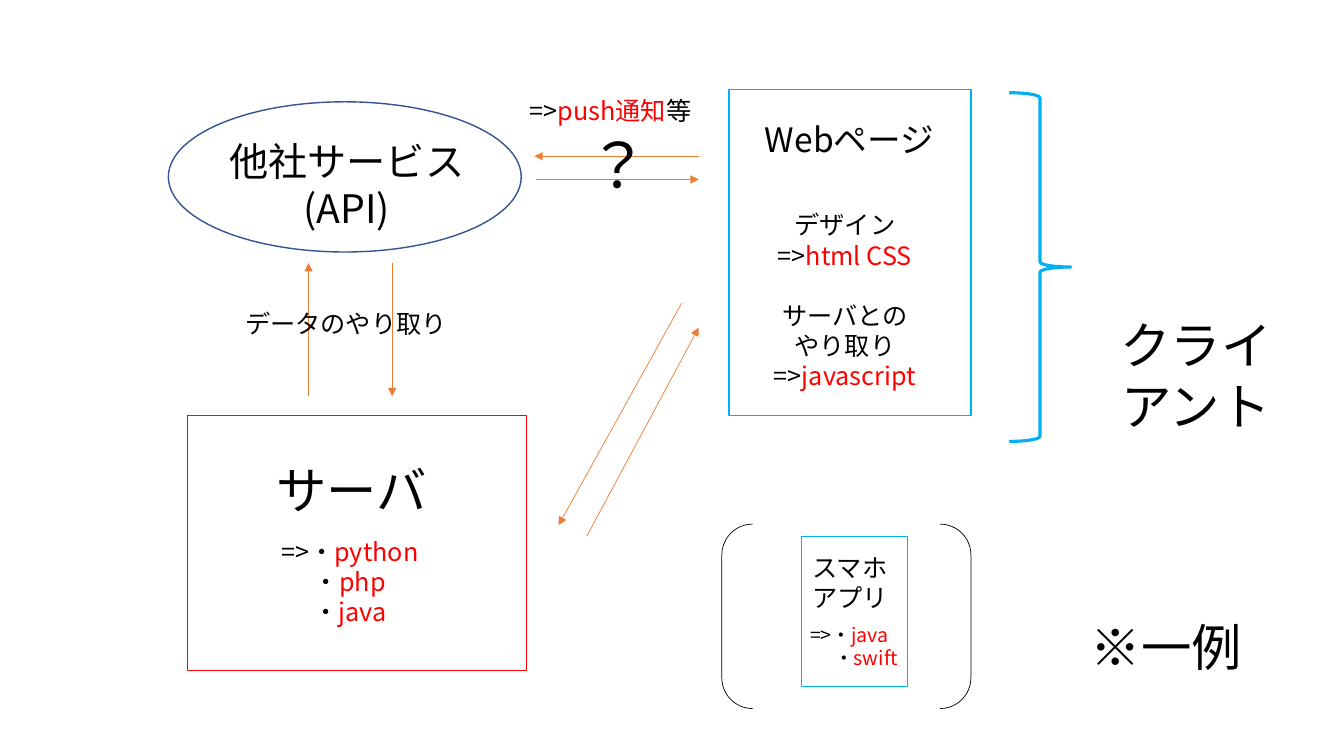
from dataclasses import dataclass

from lxml import etree
from pptx import Presentation
from pptx.dml.color import RGBColor
from pptx.enum.shapes import MSO_CONNECTOR, MSO_SHAPE
from pptx.enum.text import MSO_ANCHOR, PP_ALIGN
from pptx.oxml.ns import qn
from pptx.util import Inches, Pt

STRAIGHT = MSO_CONNECTOR.STRAIGHT
RECTANGLE = MSO_SHAPE.RECTANGLE
OVAL = MSO_SHAPE.OVAL
RIGHT_BRACE = MSO_SHAPE.RIGHT_BRACE
DOUBLE_BRACKET = MSO_SHAPE.DOUBLE_BRACKET
CENTER = PP_ALIGN.CENTER
TOP = MSO_ANCHOR.TOP


@dataclass(frozen=True)
class Theme:
    """Colours, type sizes and line widths of the slide."""

    font: str = "Noto Sans CJK JP"
    text: str = "000000"
    accent: str = "FF0000"
    service: str = "325491"
    server: str = "FF0000"
    client: str = "00B0F0"
    arrow: str = "ED7D31"
    mark: int = 44
    title: int = 36
    subtitle: int = 28
    heading: int = 24
    body: int = 18
    small: int = 14
    leading: float = 1.2
    thin: float = 0.5
    medium: float = 1
    thick: float = 2.25


def write_text(frame, text, theme, size, gap_before=None, indents=()):
    """Write centred lines, colouring the parts that follow an odd asterisk."""
    for index, line in enumerate(text.split("\n")):
        paragraph = frame.paragraphs[0] if index == 0 else frame.add_paragraph()
        paragraph.alignment = CENTER
        paragraph.line_spacing = Pt(size * theme.leading)
        if index == gap_before:
            paragraph.space_before = Pt(size * theme.leading)
        if index in indents:
            properties = paragraph._p.get_or_add_pPr()
            properties.set("marL", str(Inches(0.33)))
            properties.set("indent", "0")
        for position, part in enumerate(line.split("*")):
            if not part:
                continue
            run = paragraph.add_run()
            run.text = part
            run.font.name = theme.font
            run.font.size = Pt(size)
            color = theme.accent if position % 2 else theme.text
            run.font.color.rgb = RGBColor.from_string(color)
            east_asian = etree.SubElement(run._r.get_or_add_rPr(), qn("a:ea"))
            east_asian.set("typeface", theme.font)


class Diagram:
    """Draws styled elements on one slide."""

    def __init__(self, slide, theme):
        """Keep the slide and its style."""
        self.slide = slide
        self.theme = theme

    def outline(self, kind, left, top, width, height, color, weight):
        """Draw an unfilled preset shape."""
        shape = self.slide.shapes.add_shape(
            kind, Inches(left), Inches(top), Inches(width), Inches(height))
        shape.shadow.inherit = False
        shape.fill.background()
        shape.line.color.rgb = RGBColor.from_string(color)
        shape.line.width = Pt(weight)

    def label(self, text, left, top, width, height, size, **text_format):
        """Place a wrapped text box."""
        box = self.slide.shapes.add_textbox(
            Inches(left), Inches(top), Inches(width), Inches(height))
        frame = box.text_frame
        frame.word_wrap = True
        frame.vertical_anchor = TOP
        write_text(frame, text, self.theme, size, **text_format)

    def arrow(self, start_x, start_y, end_x, end_y):
        """Draw a thin arrow that points to its end."""
        connector = self.slide.shapes.add_connector(
            STRAIGHT, Inches(start_x), Inches(start_y), Inches(end_x), Inches(end_y))
        connector.line.color.rgb = RGBColor.from_string(self.theme.arrow)
        connector.line.width = Pt(self.theme.thin)
        head = etree.SubElement(connector.line._get_or_add_ln(), qn("a:tailEnd"))
        head.set("type", "triangle")
        etree.SubElement(connector._element.spPr, qn("a:effectLst"))


def main():
    """Build and save the slide."""
    presentation = Presentation()
    presentation.slide_width = Inches(13.33)
    presentation.slide_height = Inches(7.5)
    theme = Theme()
    slide = presentation.slides.add_slide(presentation.slide_layouts[6])
    diagram = Diagram(slide, theme)

    for outline in (
        (OVAL, 1.67, 1.01, 3.5, 1.49, theme.service, theme.medium),
        (RECTANGLE, 1.86, 4.12, 3.36, 2.53, theme.server, theme.medium),
        (RECTANGLE, 7.23, 0.89, 2.4, 3.23, theme.client, theme.medium),
        (RIGHT_BRACE, 10.01, 0.92, 0.61, 3.46, theme.client, theme.thick),
        (RECTANGLE, 7.95, 5.32, 1.05, 1.49, theme.client, theme.medium),
        (DOUBLE_BRACKET, 7.16, 5.2, 2.47, 1.83, theme.text, theme.thin),
    ):
        diagram.outline(*outline)

    for arrow in (
        (3.06, 3.93, 3.06, 2.61),
        (3.89, 2.61, 3.89, 3.93),
        (6.76, 3.01, 5.54, 5.21),
        (5.82, 5.32, 6.93, 3.25),
        (6.93, 1.55, 5.3, 1.55),
        (5.32, 1.78, 6.93, 1.78),
    ):
        diagram.arrow(*arrow)

    for label in (
        ("他社サービス\n(API)", 2.16, 1.31, 2.56, 1.04, theme.subtitle),
        ("データのやり取り", 2.32, 3.01, 2.22, 0.4, theme.body),
        ("サーバ", 2.63, 4.51, 1.72, 0.71, theme.title),
        ("=>・*python\n・*php\n・*java", 2.66, 5.27, 1.62, 1.01, theme.body),
        ("=>*push通知*等", 5.11, 0.9, 1.89, 0.4, theme.body),
        ("？", 5.72, 1.21, 0.82, 0.84, theme.mark),
        ("Webページ", 7.47, 1.13, 1.91, 0.5, theme.heading),
        ("スマホ\nアプリ", 7.95, 5.43, 0.96, 0.71, theme.body),
        ("クライ\nアント", 11, 3.07, 1.72, 1.31, theme.title),
        ("※一例", 10.71, 6.06, 1.72, 0.71, theme.title),
    ):
        diagram.label(*label)

    diagram.label(
        "デザイン\n=>*html CSS\nサーバとの\nやり取り\n=>*javascript",
        7.53, 2.03, 1.7, 1.92, theme.body, gap_before=2)
    diagram.label(
        "=>・*java\n・*swift", 7.74, 6.13, 1.37, 0.57, theme.small, indents=(1,))

    presentation.save("out.pptx")


main()
